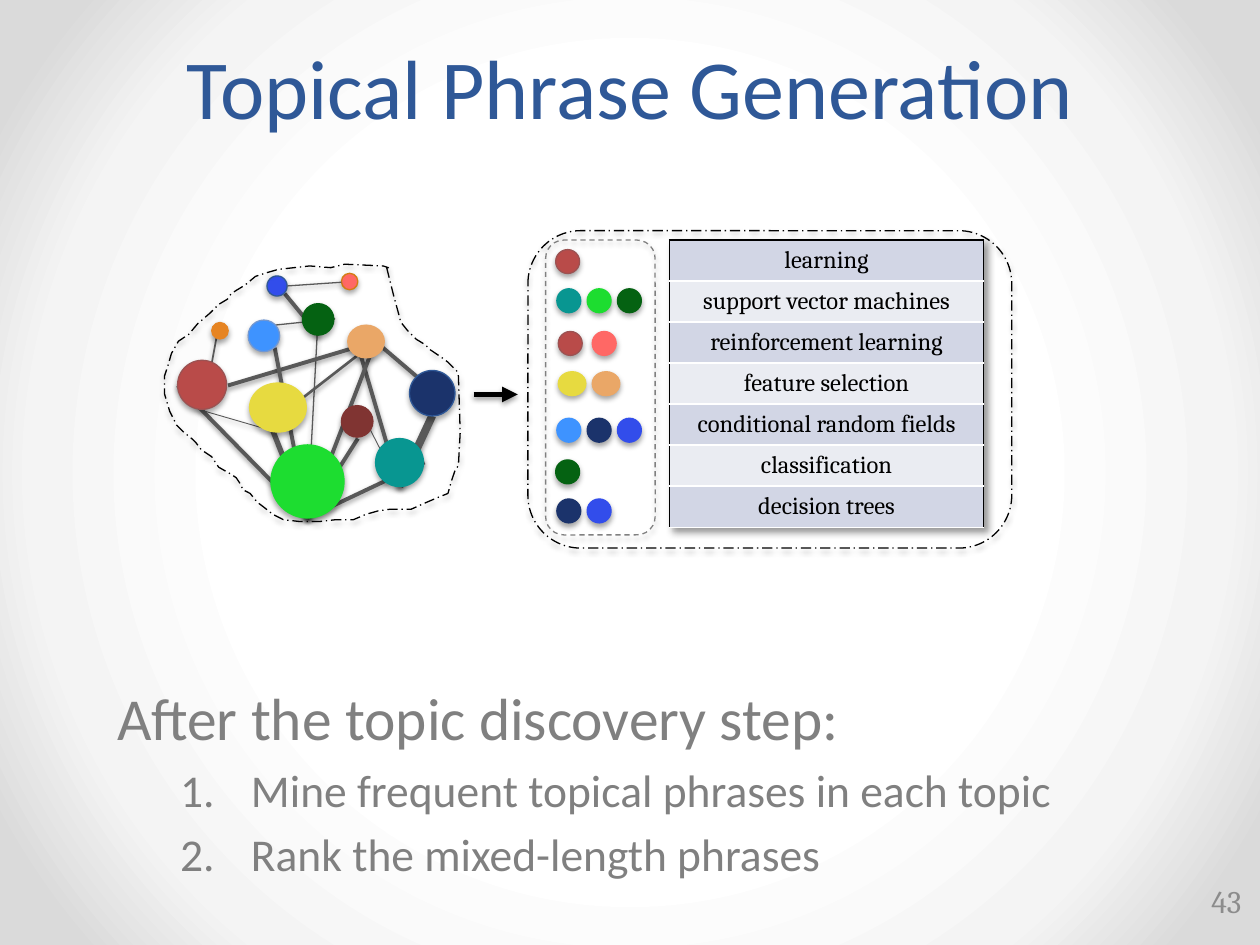
"""Build the slide on topical phrase generation."""
from pptx import Presentation
from pptx.dml.color import RGBColor
from pptx.enum.dml import MSO_LINE
from pptx.enum.shapes import MSO_CONNECTOR, MSO_SHAPE
from pptx.enum.text import MSO_ANCHOR, PP_ALIGN
from pptx.oxml import parse_xml
from pptx.oxml.ns import nsdecls, qn
from pptx.util import Pt

HUES = {
    "black": "000000", "white": "FFFFFF", "title": "2F5897", "gray": "808080",
    "pale": "8C8C8C", "link": "595959", "odd": "D2D6E5", "even": "EAECF2",
    "sky": "3E93FF", "steel": "7097D3", "orange": "E68422", "rust": "D47D13",
    "coral": "FF6865", "blue": "324DEB", "green": "1DDD30", "yellow": "E7DA40",
    "brick": "B94B49", "rose": "9C5252", "maroon": "803432", "teal": "089691",
    "navy": "1B336B", "forest": "056212", "tan": "EAA767",
}
BACK = [(50, "FFFFFF"), (76, "F4F4F4"), (92, "DADADA")]

HUB, TAN, TEAL, BRICK = (175.7, 295.9), (214.6, 195.1), (228.2, 277.9), (116, 234.7)
REAR = [
    ((182.2, 173.5), HUB, 0.75), (TAN, (166.3, 232.6), 1.5),
    ((162.7, 167.8), (182.2, 191.5), 2.25), ((130.3, 220.3), TAN, 2.25),
    ((238.3, 215.3), TAN, 2.25), ((125.3, 184.3), BRICK, 1),
    (HUB, (204.5, 250.6), 2.25), ((157, 198.7), HUB, 2.25),
    (HUB, (242.6, 264.2), 2.25), ((157, 185.8), (191.5, 182.2), 0.75),
]
SMALL = [
    (141.8, 182.9, 18, 18, "sky", "steel"), (121, 184.3, 9.4, 9.4, "orange", None),
    (195.1, 156.2, 9.4, 9.4, "coral", "rust"), (152.6, 157.7, 11.5, 11.5, "blue", "title"),
]
FRONT = [
    ((247, 237.6), TEAL, 4.5), ((203.8, 195.1), TEAL, 2.25),
    ((204.5, 231.8), TEAL, 0.5), ((150.5, 232.6), HUB, 3), (TAN, HUB, 2.25),
    ((101.5, 220.3), HUB, 2.25), ((158.4, 247), BRICK, 0.5),
]
LARGE = [
    (154.8, 254.2, 41.8, 41.8, "green", None), (142.6, 218.9, 32.4, 28, "yellow", None),
    (101.5, 205.9, 28, 28, "brick", "rose"), (195.1, 231.8, 18, 18, "maroon", None),
    (214.6, 250.6, 27.4, 27.4, "teal", None), (234, 211.7, 26, 26, "navy", "title"),
]
LAST = [
    (172.8, 173.5, 18, 18, "forest", None), (198.7, 185.8, 20.9, 18.7, "tan", None),
]
CLOUD = [
    (221, 152.6), (223.2, 161.3), (225.4, 169.2), (227.5, 180), (229, 184.3),
    (232.6, 189.4), (237.6, 194.4), (242.6, 196.6), (245.5, 200.2), (252, 204.5),
    (256.3, 206.6), (258.5, 208.8), (261.4, 211.7), (262, 215.3), (262.8, 247),
    (262, 265.7), (260, 269.3), (258.5, 275), (256.3, 282.2), (251.3, 284.4),
    (244, 287.3), (235.4, 290.9), (223.2, 290.9), (216, 292.3), (208.8, 294.5),
    (202.3, 296.6), (192.2, 297.4), (182.9, 298.1), (170.6, 298.1), (162, 296.6),
    (156.2, 293.8), (151.2, 290.2), (146.9, 286.6), (142.6, 282.2), (139, 280),
    (136.8, 276.5), (135.4, 272.9), (132.5, 270.7), (125.3, 267), (121, 261.4),
    (115.2, 257), (111.6, 253.4), (110.2, 251.3), (105, 247), (100.8, 242.6),
    (97.2, 235.4), (94.3, 224.6), (94.3, 215.3), (96.5, 208.8), (97.9, 202.3),
    (101.5, 195), (108, 190.8), (113, 185), (119.5, 178.6), (124.6, 174.2),
    (129.6, 170.6), (132.5, 167.8), (135.4, 166.3), (140.4, 162.7), (146.2, 158.4),
    (152, 156.2), (159, 154), (177, 152), (189.4, 152.6), (197.3, 151.2),
    (218.9, 152), (222.5, 153.4),
]
TOPICS = [
    ("learning", 142.6, 317.5, 13.7, ["brick"]),
    ("support vector machines", 165, 318.2, 13.7, ["teal", "green", "forest"]),
    ("reinforcement learning", 189.4, 319, 13.7, ["brick", "coral"]),
    ("feature selection", 212.4, 319, 15.8, ["yellow", "tan"]),
    ("conditional random fields", 239, 318.2, 13.7, ["sky", "navy", "blue"]),
    ("classification", 262.8, 317.5, 13.7, ["forest"]),
    ("decision trees", 285.1, 318.2, 13.7, ["navy", "blue"]),
]


def rgb(name):
    """Return the named colour."""
    return RGBColor.from_string(HUES[name])


def shade(alpha, blur, dist, turn):
    """Return an effect list with one outer shadow."""
    return parse_xml(
        f'<a:effectLst {nsdecls("a")}><a:outerShdw blurRad="{Pt(blur)}" dist="{Pt(dist)}" '
        f'dir="{turn * 60000}" algn="tl" rotWithShape="0"><a:srgbClr val="000000">'
        f'<a:alpha val="{alpha * 1000}"/></a:srgbClr></a:outerShdw></a:effectLst>')


def write(para, text, size=14, face="Calibri", hue="black", align=PP_ALIGN.LEFT,
          lead=None, gap=0, count=False):
    """Fill a paragraph with formatted text."""
    if count:
        props = para._p.get_or_add_pPr()
        props.set("marL", str(Pt(76.5)))
        props.set("indent", str(Pt(-40.5)))
        props.append(parse_xml(f'<a:buAutoNum {nsdecls("a")} type="arabicPeriod"/>'))
    para.alignment, para.space_before = align, Pt(gap)
    if lead:
        para.line_spacing = Pt(lead)
    para.text = text
    font = para.font
    font.size, font.name, font.color.rgb = Pt(size), face, rgb(hue)


class Deck:
    """Hold the style and the current slide."""

    def __init__(self, slide):
        """Keep the slide and the shared style."""
        self.slide, self.shapes = slide, slide.shapes
        self.cast, self.thin = (35, 3.1, 1.8, 90), 0.75

    def back(self, stops):
        """Paint a round gradient behind the slide."""
        marks = "".join(f'<a:gs pos="{at * 1000}"><a:srgbClr val="{hue}"/></a:gs>'
                        for at, hue in stops)
        self.slide.element.cSld.insert(0, parse_xml(
            f'<p:bg {nsdecls("p", "a")}><p:bgPr><a:gradFill rotWithShape="1"><a:gsLst>{marks}'
            '</a:gsLst><a:path path="circle"><a:fillToRect l="50000" t="50000" r="50000" '
            'b="50000"/></a:path></a:gradFill><a:effectLst/></p:bgPr></p:bg>'))

    def text(self, box, lines, anchor=MSO_ANCHOR.TOP):
        """Add a text box from pairs of text and format."""
        frame = self.shapes.add_textbox(*map(Pt, box)).text_frame
        frame.word_wrap, frame.vertical_anchor = True, anchor
        for row, (line, form) in enumerate(lines):
            write(frame.add_paragraph() if row else frame.paragraphs[0], line, **form)

    def dress(self, shape, fill, edge, dash=None):
        """Set the fill, outline and shadow of a shape."""
        if fill:
            shape.fill.solid()
            shape.fill.fore_color.rgb = rgb(fill)
        else:
            shape.fill.background()
        shape.line.color.rgb, shape.line.width = rgb(edge), Pt(self.thin)
        if dash:
            shape.line.dash_style = dash
        shape.shadow.inherit = False
        props = shape.element.spPr
        props.replace(props.find(qn("a:effectLst")), shade(*self.cast))

    def ball(self, left, top, wide, high, fill, edge=None):
        """Add a filled ellipse."""
        box = map(Pt, (left, top, wide, high))
        self.dress(self.shapes.add_shape(MSO_SHAPE.OVAL, *box), fill, edge or fill)

    def frame(self, box, edge, dash):
        """Add a dashed round frame."""
        shape = self.shapes.add_shape(MSO_SHAPE.ROUNDED_RECTANGLE, *map(Pt, box))
        self.dress(shape, None, edge, dash)

    def loop(self, spots, dash):
        """Add a closed dashed outline."""
        form = self.shapes.build_freeform(*spots[0], scale=Pt(1))
        form.add_line_segments(spots[1:], close=True)
        self.dress(form.convert_to_shape(), None, "black", dash)

    def line(self, start, end, width, hue="link", arrow=False):
        """Add a straight line or an arrow."""
        link = self.shapes.add_connector(MSO_CONNECTOR.STRAIGHT, *map(Pt, start + end))
        link.line.color.rgb, link.line.width = rgb(hue), Pt(width)
        props = link.element.spPr
        if arrow:
            props.find(qn("a:ln")).append(
                parse_xml(f'<a:tailEnd {nsdecls("a")} type="triangle"/>'))
        props.append(shade(38, 3.1, 1.6, 90))

    def table(self, box, words):
        """Add a table of one column with banded rows."""
        grid = self.shapes.add_table(len(words), 1, *map(Pt, box)).table
        grid.first_row = grid.horz_banding = False
        grid._tbl.tblPr.insert(0, shade(40, 4, 3, 45))
        for row, word in enumerate(words):
            cell = grid.cell(row, 0)
            cell.margin_top = cell.margin_bottom = Pt(2)
            cell.vertical_anchor = MSO_ANCHOR.MIDDLE
            cell.fill.solid()
            cell.fill.fore_color.rgb = rgb("even" if row % 2 else "odd")
            write(cell.text_frame.paragraphs[0], word, face="Cambria", align=PP_ALIGN.CENTER)
            hues = ["black", "black", "white" if row else "black", "white"]
            for spot, (side, hue) in enumerate(zip("LRTB", hues)):
                cell._tc.get_or_add_tcPr().insert(spot, parse_xml(
                    f'<a:ln{side} {nsdecls("a")} w="{Pt(1)}"><a:solidFill><a:srgbClr '
                    f'val="{HUES[hue]}"/></a:solidFill></a:ln{side}>'))


def main():
    """Build and save the slide."""
    show = Presentation()
    show.slide_width, show.slide_height = Pt(720), Pt(540)
    deck = Deck(show.slides.add_slide(show.slide_layouts[6]))
    deck.back(BACK)
    deck.text((36, 0, 648, 81.4), [("Topical Phrase Generation", dict(
        size=48, hue="title", align=PP_ALIGN.CENTER, lead=58))], MSO_ANCHOR.BOTTOM)
    step = dict(size=26, hue="gray", gap=5.2, count=True)
    deck.text((59.8, 385.9, 624, 126.7), [
        ("After the topic discovery step:", dict(size=34, hue="gray")),
        ("Mine frequent topical phrases in each topic", step),
        ("Rank the mixed-length phrases", step)])
    deck.table((382.7, 137.2, 179.3, 164.2), [topic[0] for topic in TOPICS])
    for links, balls in ((REAR, SMALL), (FRONT, LARGE),
                         ([((164.2, 163.4), (195.1, 161.3), 0.75)], LAST)):
        for link in links:
            deck.line(*link)
        for ball in balls:
            deck.ball(*ball)
    deck.loop(CLOUD, MSO_LINE.LONG_DASH_DOT)
    deck.frame((301.7, 131.8, 276.5, 181.4), "black", MSO_LINE.LONG_DASH_DOT)
    deck.frame((311.8, 137.2, 62.6, 168.5), "gray", MSO_LINE.DASH)
    for _, top, left, wide, hues in TOPICS:
        pitch = 17.3 if hues[-1] in ("forest", "blue") else 19.4
        for spot, hue in enumerate(hues):
            deck.ball(left + spot * pitch, top, wide, 13.7, hue,
                      "rose" if hue == "brick" else None)
    deck.line((270.7, 225.4), (295.9, 225.4), 3, "black", arrow=True)
    deck.text((672.5, 500.4, 43.9, 28.8), [("43", dict(
        size=18, face="Cambria", hue="pale", align=PP_ALIGN.RIGHT))], MSO_ANCHOR.MIDDLE)
    show.save("out.pptx")


if __name__ == "__main__":
    main()
